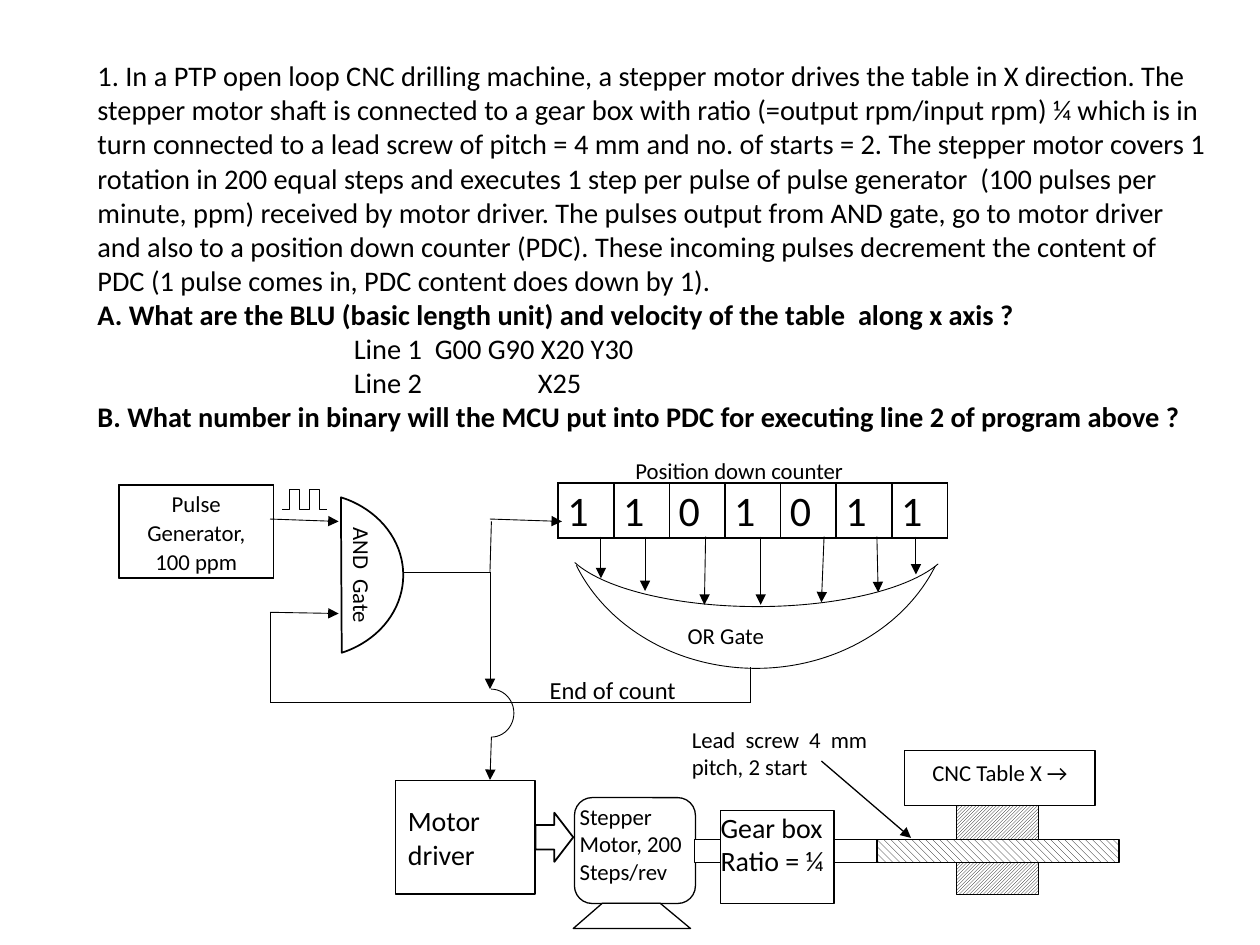
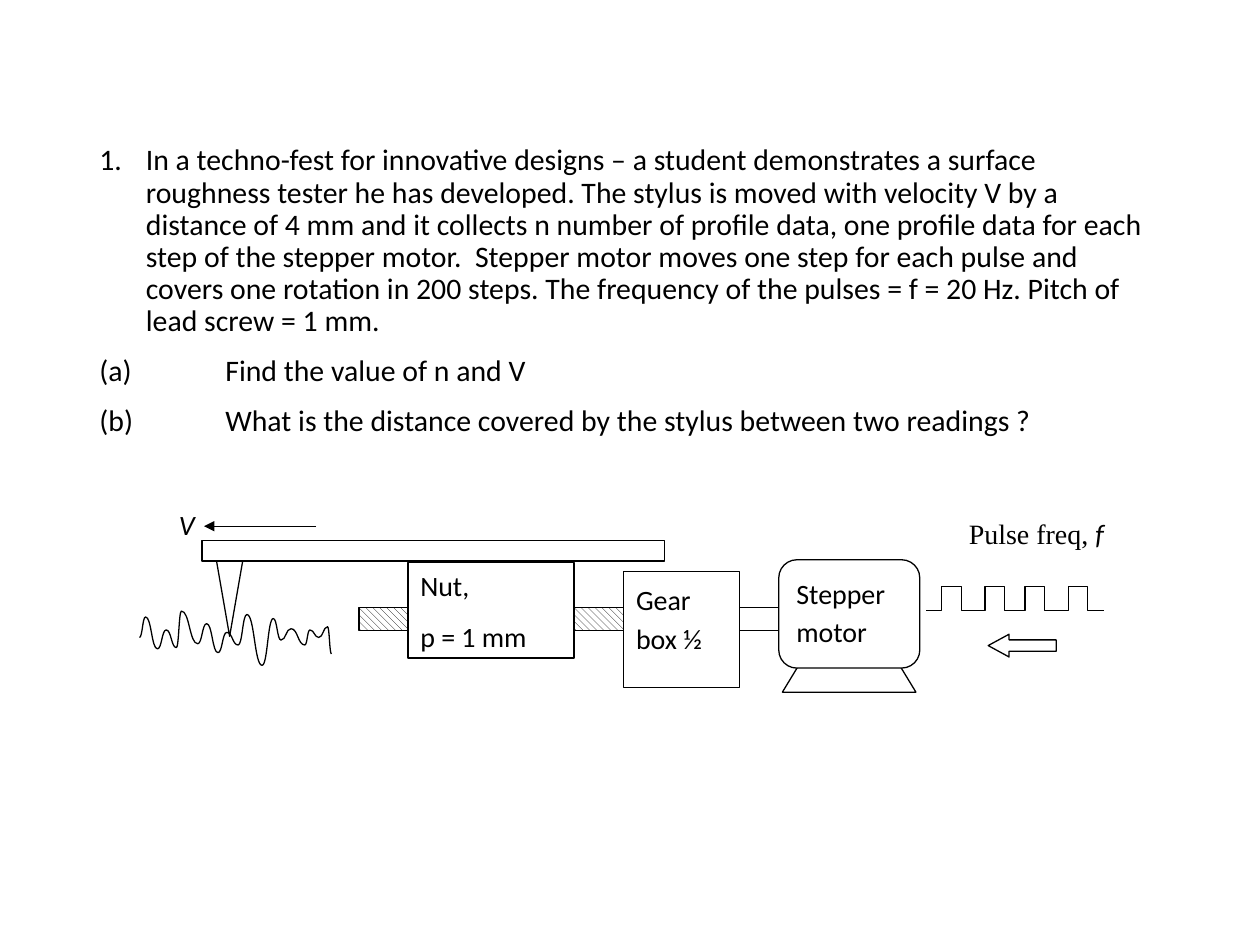
from copy import deepcopy
from dataclasses import dataclass, field
from itertools import pairwise
from typing import Any

from lxml import etree
from pptx import Presentation
from pptx import util as u
from pptx.dml.color import RGBColor
from pptx.enum import dml, shapes, text
from pptx.oxml import ns

BLACK = RGBColor(0, 0, 0)
WHITE = RGBColor(255, 255, 255)
BODY_FONT = "Calibri"
SERIF_FONT = "Times New Roman"
LOOSE = {"spacing": 1.07, "after": 8}
WIDE = {"spacing": 1.15, "after": 10}
KIND = shapes.MSO_SHAPE
ALIGN = text.PP_ALIGN
ANCHOR = text.MSO_ANCHOR
UP_HATCH = dml.MSO_PATTERN.LIGHT_UPWARD_DIAGONAL
DOWN_HATCH = dml.MSO_PATTERN.WIDE_DOWNWARD_DIAGONAL


@dataclass
class Block:
    kind: Any
    left: float
    top: float
    width: float
    height: float
    weight: float = 0.75
    fill: Any = WHITE
    text: str = ""
    size: float = 13
    style: dict = field(default_factory=dict)
    inset: bool = True
    anchor: Any = ANCHOR.TOP
    rotation: float = 0
    adjust: tuple = ()
    vertical: str = "horz"


@dataclass
class Wire:
    x1: float
    y1: float
    x2: float
    y2: float
    arrow: bool = False
    weight: float = 0.5
    kind: Any = shapes.MSO_CONNECTOR.STRAIGHT


@dataclass
class PulseTrain:
    starts: tuple
    low: float
    high: float
    run: float
    offset: float
    weight: float


def child(parent, tag: str, **attributes):
    return etree.SubElement(parent, ns.qn(tag), attributes)


def write(frame, wording: str, paragraph=None, size=16, font=BODY_FONT, bold=False,
          italic=False, align=ALIGN.LEFT, spacing=1.0, before=0, after=0, hang=0, tabs=()):
    if paragraph is None:
        paragraph = frame.paragraphs[0]
        if paragraph.runs:
            paragraph = frame.add_paragraph()
        paragraph.alignment = align
        paragraph.line_spacing = spacing
        paragraph.space_before, paragraph.space_after = u.Pt(before), u.Pt(after)
        properties = paragraph._p.get_or_add_pPr()
        if hang:
            properties.set("marL", str(u.Pt(hang)))
            properties.set("indent", str(-u.Pt(hang)))
        if tabs:
            stops = child(properties, "a:tabLst")
            for stop in tabs:
                child(stops, "a:tab", pos=str(u.Pt(stop)), algn="l")
    run = paragraph.add_run()
    run.text = wording
    run.font.name, run.font.size = font, u.Pt(size)
    run.font.bold, run.font.italic = bold, italic
    run.font.color.rgb = BLACK
    return paragraph


def break_line(paragraph) -> None:
    character_format = paragraph.runs[-1]._r.rPr
    child(paragraph._p, "a:br").append(deepcopy(character_format))


def paint(shape, fill, weight: float) -> None:
    shape.shadow.inherit = False
    if fill is None:
        shape.fill.background()
    elif isinstance(fill, RGBColor):
        shape.fill.solid()
        shape.fill.fore_color.rgb = fill
    else:
        shape.fill.patterned()
        shape.fill.pattern = fill
        shape.fill.fore_color.rgb, shape.fill.back_color.rgb = BLACK, WHITE
    if weight:
        shape.line.color.rgb = BLACK
        shape.line.width = u.Pt(weight)
    else:
        shape.line.fill.background()


def draw_block(slide, block: Block):
    shape = slide.shapes.add_shape(
        block.kind, *map(u.Pt, (block.left, block.top, block.width, block.height)))
    paint(shape, block.fill, block.weight)
    shape.rotation = block.rotation
    for index, value in enumerate(block.adjust):
        shape.adjustments[index] = value
    frame = shape.text_frame
    frame.word_wrap = True
    frame.vertical_anchor = block.anchor
    frame._txBody.bodyPr.set("vert", block.vertical)
    if not block.inset:
        frame.margin_left = frame.margin_right = frame.margin_top = frame.margin_bottom = 0
    for line in filter(None, block.text.split("\n")):
        write(frame, line, size=block.size, **block.style)
    return shape


def draw_wire(slide, wire: Wire) -> None:
    connector = slide.shapes.add_connector(
        wire.kind, *map(u.Pt, (wire.x1, wire.y1, wire.x2, wire.y2)))
    connector.line.color.rgb = BLACK
    connector.line.width = u.Pt(wire.weight)
    if wire.arrow:
        child(connector.line._get_or_add_ln(), "a:tailEnd", type="triangle")
    child(connector._element.spPr, "a:effectLst")


def draw_pulses(slide, train: PulseTrain) -> None:
    elbow = shapes.MSO_CONNECTOR.ELBOW
    for start in train.starts:
        fall = start + train.offset
        draw_wire(slide, Wire(start, train.low, start + train.run, train.high,
                              weight=train.weight, kind=elbow))
        draw_wire(slide, Wire(fall, train.high, fall + train.run, train.low,
                              weight=train.weight, kind=elbow))


def draw_outline(slide, points: list, closed: bool, fill=None):
    first, *rest = [(u.Pt(x), u.Pt(y)) for x, y in points]
    builder = slide.shapes.build_freeform(*first)
    builder.add_line_segments(rest, close=closed)
    shape = builder.convert_to_shape()
    paint(shape, fill, 0.75)
    return shape


def round_off(outline) -> None:
    points = list(outline._element.iter(ns.qn("a:pt")))
    places = [(int(point.get("x")), int(point.get("y"))) for point in points]
    for point, ((x1, y1), (x2, y2)) in zip(points[1:], pairwise(places)):
        segment = point.getparent()
        curve = etree.Element(ns.qn("a:cubicBezTo"))
        middle = (x1 + x2) // 2
        for x, y in ((middle, y1), (middle, y2), (x2, y2)):
            child(curve, "a:pt", x=str(x), y=str(y))
        segment.getparent().replace(segment, curve)


def add_question(slide, left: float, top: float, width: float, height: float):
    box = slide.shapes.add_textbox(*map(u.Pt, (left, top, width, height)))
    box.text_frame.word_wrap = True
    return box.text_frame


def draw_counter(slide, bits: str) -> None:
    table = slide.shapes.add_table(
        1, len(bits), *map(u.Pt, (318.96, 276.1, 222.48, 30.24))).table
    table.first_row = table.horz_banding = False
    for cell, bit in zip(table.rows[0].cells, bits):
        cell.margin_left = cell.margin_right = u.Pt(5.3)
        cell.margin_top = cell.margin_bottom = 0
        properties = cell._tc.get_or_add_tcPr()
        for side in ("a:lnL", "a:lnR", "a:lnT", "a:lnB"):
            border = child(properties, side, w=str(u.Pt(1)))
            child(child(border, "a:solidFill"), "a:srgbClr", val=str(BLACK))
        cell.fill.background()
        write(cell.text_frame, bit, size=24, spacing=1.07)


def build_drilling(slide) -> None:
    draw_counter(slide, "1101011")
    centred = {"align": ALIGN.CENTER, **LOOSE}
    for block in (
        Block(KIND.RECTANGLE, 307, 380.9, 95.8, 29.5, 0, text="End of count", size=14, style=LOOSE),
        Block(KIND.RECTANGLE, 356, 256.3, 151.2, 30.2, 0, None, "Position down counter", style=LOOSE),
        Block(KIND.RIGHT_ARROW, 306, 464.4, 21.6, 28.1, 1),
        Block(KIND.FLOWCHART_ALTERNATE_PROCESS, 328.3, 455.8, 69.1, 60.5,
              text="Stepper Motor, 200 Steps/rev", inset=False),
        Block(KIND.RECTANGLE, 396.7, 479.7, 222.5, 13),
        Block(KIND.FLOWCHART_PROCESS, 411.8, 463, 64.8, 53.3,
              text="Gear box Ratio = ¼", size=16, inset=False),
        Block(KIND.RECTANGLE, 546.5, 460.1, 46.8, 51.1, fill=UP_HATCH),
        Block(KIND.RECTANGLE, 501.1, 479.7, 138.4, 13, fill=DOWN_HATCH),
        Block(KIND.FLOWCHART_PROCESS, 517, 428.7, 108.7, 31.7, text="CNC Table X →", style=centred),
        Block(KIND.RECTANGLE, 395.3, 414.7, 100.1, 36.7, 0, text="Lead screw 4 mm pitch, 2 start",
              style={"align": ALIGN.JUSTIFY}, inset=False),
        Block(KIND.RECTANGLE, 226, 446, 79.9, 64.8, 1, None, "Motor driver", 16, anchor=ANCHOR.MIDDLE),
        Block(KIND.CHORD, 123.8, 281.5, 106.6, 94.3, 1, text="AND  Gate", style={"align": ALIGN.CENTER},
              inset=False, rotation=180, adjust=(67.01, 148.62), vertical="vert270"),
        Block(KIND.ARC, 334.1, 172.1, 195.8, 223.9, 0.5, None, rotation=90, adjust=(174.64, 41.52)),
        Block(KIND.ARC, 393.1, 195.1, 79.2, 223.9, 0.5, None, rotation=90, adjust=(167.02, 49.28)),
        Block(KIND.ARC, 267.8, 393.8, 25.9, 27.4, 0.5, None, adjust=(162, 54)),
        Block(KIND.RECTANGLE, 67.9, 277.2, 88.4, 53.3, 1, text="Pulse Generator, 100 ppm",
              style=centred, anchor=ANCHOR.MIDDLE),
        Block(KIND.RECTANGLE, 385.9, 350.6, 94.3, 21.6, 0, text="OR Gate", style=LOOSE),
    ):
        draw_block(slide, block)
    draw_outline(slide, [(327.6, 530.6), (344.2, 516.2), (377.3, 516.2), (394.6, 530.6)], True, WHITE)

    counter_outputs = ((343.4, 343.4, 330.5), (368.6, 368.6, 337.7), (403.2, 402.5, 345.6),
                       (434.7, 434.7, 345.6), (470.9, 469.4, 344.2), (501.1, 501.8, 338.4),
                       (523.4, 523.4, 328.3))
    for start, end, bottom in counter_outputs:
        draw_wire(slide, Wire(start, 306.7, end, bottom, True))
    for wire in (
        Wire(469.4, 434.9, 520.6, 478.8, True, 0.75),
        Wire(280.8, 421.2, 280, 445.7, True),
        Wire(280, 296.6, 321.1, 298, True),
        Wire(154.3, 296.6, 193.5, 298, True),
        Wire(154.3, 349.9, 193.5, 350.6, True),
        Wire(154.3, 349.9, 154.3, 401.5),
        Wire(154.3, 401.5, 428.6, 401.5),
        Wire(428.6, 401.5, 428.6, 380.9),
        Wire(230.4, 326.9, 280, 326.9),
        Wire(280, 326.9, 280.8, 298),
        Wire(280, 326.9, 280, 393.8, True),
    ):
        draw_wire(slide, wire)
    draw_block(slide, Block(KIND.RECTANGLE, 67.9, 277.2, 88.4, 53.3, 1, None))
    draw_pulses(slide, PulseTrain((161.3, 172.6), 290.9, 279.9, 8.6, 5.8, 0.5))

    question = add_question(slide, 48.6, 29.9, 648, 226)
    problem = None
    for wording, bold in (
        ("1. In a PTP open loop CNC drilling machine, a stepper motor drives the table in X direction. "
         "The stepper motor shaft is connected to a gear box with ratio (=output rpm/input rpm) ¼ which "
         "is in turn connected to a lead screw of pitch = 4 mm and no. of starts = 2. The stepper motor "
         "covers 1 rotation in 200 equal steps and executes 1 step per pulse of pulse generator  (100 "
         "pulses per minute, ppm) received by motor driver. The pulses output from AND gate, go to motor "
         "driver and also to a position down counter (PDC). These incoming pulses decrement the content "
         "of PDC (1 pulse comes in, PDC content does down by 1).", False),
        ("A. What are the BLU (basic length unit) and velocity of the table  along x axis ?", True),
        ("\tLine 1  G00 G90 X20 Y30", False),
        ("\tLine 2\tX25", False),
        ("B. What number in binary will the MCU put into PDC for executing line 2 of program above ?", True),
    ):
        if problem is not None:
            break_line(problem)
        problem = write(question, wording, problem, size=16.2, bold=bold, tabs=(146.5, 251.7))


def build_roughness(slide) -> None:
    question = add_question(slide, 49.7, 79.5, 620.6, 192.2)
    layout = {"size": 17, "spacing": 0.9}
    write(question,
          "1.\tIn a techno-fest for innovative designs – a student demonstrates a surface roughness "
          "tester he has developed. The stylus is moved with velocity V by a distance of 4 mm and it "
          "collects n number of profile data, one profile data for each step of the stepper motor.  "
          "Stepper motor moves one step for each pulse and covers one rotation in 200 steps. The "
          "frequency of the pulses = f = 20 Hz. Pitch of lead screw = 1 mm.", hang=26.6, **layout)
    for part in ("(a)\tFind the value of n and V",
                 "(b)\tWhat is the distance covered by the stylus between two readings ?"):
        write(question, part, before=10, tabs=(72,), **layout)

    draw_outline(slide, [(447.1, 395.5), (458.6, 376.6), (511.9, 376.6), (523.4, 395.5)], True, WHITE)
    for block in (
        Block(KIND.RECTANGLE, 102.2, 287.3, 23.8, 29.5, 0, text="V", size=16,
              style={"italic": True, **WIDE}, inset=False),
        Block(KIND.RECTANGLE, 205.2, 347.3, 240.5, 13, fill=DOWN_HATCH),
        Block(KIND.RECTANGLE, 370.8, 347.3, 82.1, 13),
        Block(KIND.RECTANGLE, 356.4, 326.7, 66.2, 66.2, text="Gear box ½", size=16, style=WIDE),
        Block(KIND.ROUNDED_RECTANGLE, 445, 319.9, 80.6, 61.9, text="Stepper motor", size=16, style=WIDE),
        Block(KIND.LEFT_ARROW, 564.7, 362.4, 38.9, 13, adjust=(0.5, 0.92)),
        Block(KIND.ISOSCELES_TRIANGLE, 123.3, 318.2, 15.8, 45.4, rotation=180),
        Block(KIND.RECTANGLE, 115.5, 308.9, 264.2, 11.7),
        Block(KIND.RECTANGLE, 233.1, 321.3, 95, 54.7, text="Nut,\np = 1 mm", size=16, style={"after": 10}),
    ):
        draw_block(slide, block)
    frequency = draw_block(slide, Block(KIND.RECTANGLE, 553.7, 292.3, 78, 33.1, 0, inset=False)).text_frame
    caption = write(frequency, "Pulse freq, ", font=SERIF_FONT, align=ALIGN.JUSTIFY, **WIDE)
    write(frequency, "f", paragraph=caption, italic=True)

    draw_wire(slide, Wire(180.7, 300.7, 116.6, 300.7, True, 0.75))
    draw_pulses(slide, PulseTrain((529.2, 553.9, 576.7, 601.4), 348.7, 335.1, 18, 11.2, 0.75))
    profile = [(79.7, 364.3), (83.2, 352.6), (90, 370.8), (95, 360), (100.8, 370.1), (103.7, 349.2),
               (113, 367.9), (118.1, 356.4), (124.6, 373), (129.6, 361.4), (136.1, 368.6),
               (141.1, 351.2), (149.8, 380.2), (156.2, 353.5), (160.6, 365.8), (166.3, 359.3),
               (174.2, 368.6), (177.1, 360), (182.2, 364.3), (187.2, 358.2), (189.4, 373.7)]
    round_off(draw_outline(slide, profile, False))


def main() -> None:
    deck = Presentation()
    deck.slide_width, deck.slide_height = u.Pt(720), u.Pt(540)
    for build in (build_drilling, build_roughness):
        build(deck.slides.add_slide(deck.slide_layouts[6]))
    deck.save("out.pptx")


if __name__ == "__main__":
    main()
